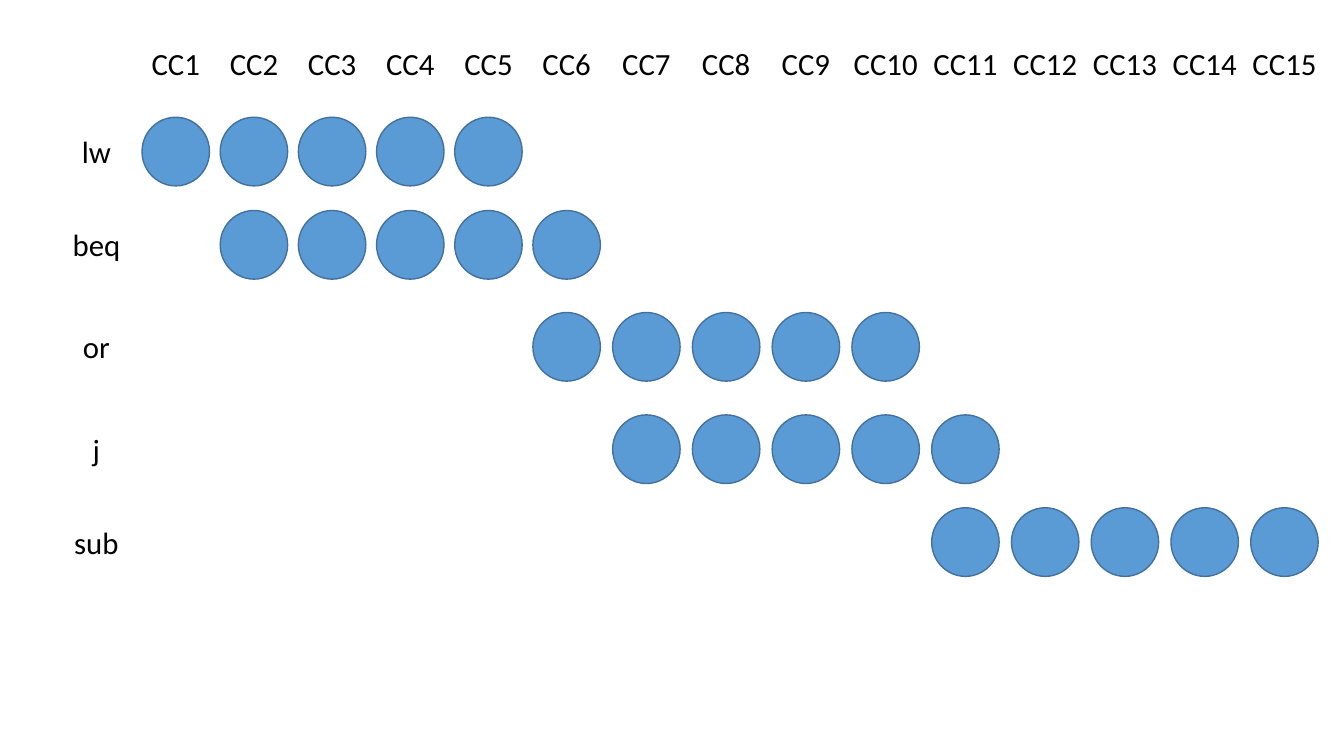
"""Build a pipeline diagram of five instructions over fifteen clock cycles."""

from dataclasses import dataclass

from pptx import Presentation
from pptx.dml.color import RGBColor
from pptx.enum.shapes import MSO_SHAPE
from pptx.enum.text import MSO_AUTO_SIZE, PP_ALIGN
from pptx.slide import Slide
from pptx.util import Cm, Pt

STAGE_FILL = RGBColor(0x5B, 0x9B, 0xD5)
STAGE_LINE = RGBColor(0x43, 0x71, 0x9E)
TEXT_COLOR = RGBColor(0x00, 0x00, 0x00)

CYCLE_COUNT = 15
STAGE_COUNT = 5
FIRST_CYCLE_X = 4.43
EARLY_PITCH = 1.97
LATE_PITCH = 2.01
PITCH_CHANGE_CYCLE = 6
HEADER_Y = 1.59
NAME_X = 2.43
STAGE_WIDTH, STAGE_HEIGHT = 1.7, 1.73
LABEL_WIDTH, LABEL_HEIGHT = 2.36, 1.19


@dataclass(frozen=True)
class Instruction:
    """An instruction with its first clock cycle and row centre in centimetres."""

    name: str
    first_cycle: int
    center_y: float


INSTRUCTIONS = (
    Instruction("lw", 1, 3.82),
    Instruction("beq", 2, 6.17),
    Instruction("or", 6, 8.74),
    Instruction("j", 7, 11.32),
    Instruction("sub", 11, 13.66),
)


def cycle_x(cycle: int) -> float:
    """Return the column centre of a clock cycle in centimetres."""
    early_steps = min(cycle, PITCH_CHANGE_CYCLE) - 1
    late_steps = max(cycle - PITCH_CHANGE_CYCLE, 0)
    return FIRST_CYCLE_X + early_steps * EARLY_PITCH + late_steps * LATE_PITCH


def centered_box(center_x: float, center_y: float, width: float, height: float) -> tuple[Cm, Cm, Cm, Cm]:
    """Return left, top, width and height of a box around a centre."""
    return Cm(center_x - width / 2), Cm(center_y - height / 2), Cm(width), Cm(height)


def add_stage(slide: Slide, center_x: float, center_y: float) -> None:
    """Draw one pipeline stage as a circle."""
    shape = slide.shapes.add_shape(
        MSO_SHAPE.OVAL, *centered_box(center_x, center_y, STAGE_WIDTH, STAGE_HEIGHT)
    )
    shape.shadow.inherit = False
    shape.fill.solid()
    shape.fill.fore_color.rgb = STAGE_FILL
    shape.line.color.rgb = STAGE_LINE
    shape.line.width = Pt(1)


def add_label(slide: Slide, text: str, center_x: float, center_y: float) -> None:
    """Write a centred label."""
    text_box = slide.shapes.add_textbox(
        *centered_box(center_x, center_y, LABEL_WIDTH, LABEL_HEIGHT)
    )
    text_frame = text_box.text_frame
    text_frame.word_wrap = True
    text_frame.auto_size = MSO_AUTO_SIZE.SHAPE_TO_FIT_TEXT
    text_frame.text = text
    paragraph = text_frame.paragraphs[0]
    paragraph.alignment = PP_ALIGN.CENTER
    font = paragraph.runs[0].font
    font.name = "Calibri"
    font.size = Pt(22)
    font.color.rgb = TEXT_COLOR


def add_instruction(slide: Slide, instruction: Instruction) -> None:
    """Draw the name and the stages of an instruction."""
    add_label(slide, instruction.name, NAME_X, instruction.center_y)
    for stage in range(STAGE_COUNT):
        add_stage(slide, cycle_x(instruction.first_cycle + stage), instruction.center_y)


def main() -> None:
    """Create and save the presentation."""
    presentation = Presentation()
    presentation.slide_width = Cm(33.87)
    presentation.slide_height = Cm(19.05)
    slide = presentation.slides.add_slide(presentation.slide_layouts[6])
    for cycle in range(1, CYCLE_COUNT + 1):
        add_label(slide, f"CC{cycle}", cycle_x(cycle), HEADER_Y)
    for instruction in INSTRUCTIONS:
        add_instruction(slide, instruction)
    presentation.save("out.pptx")


main()
